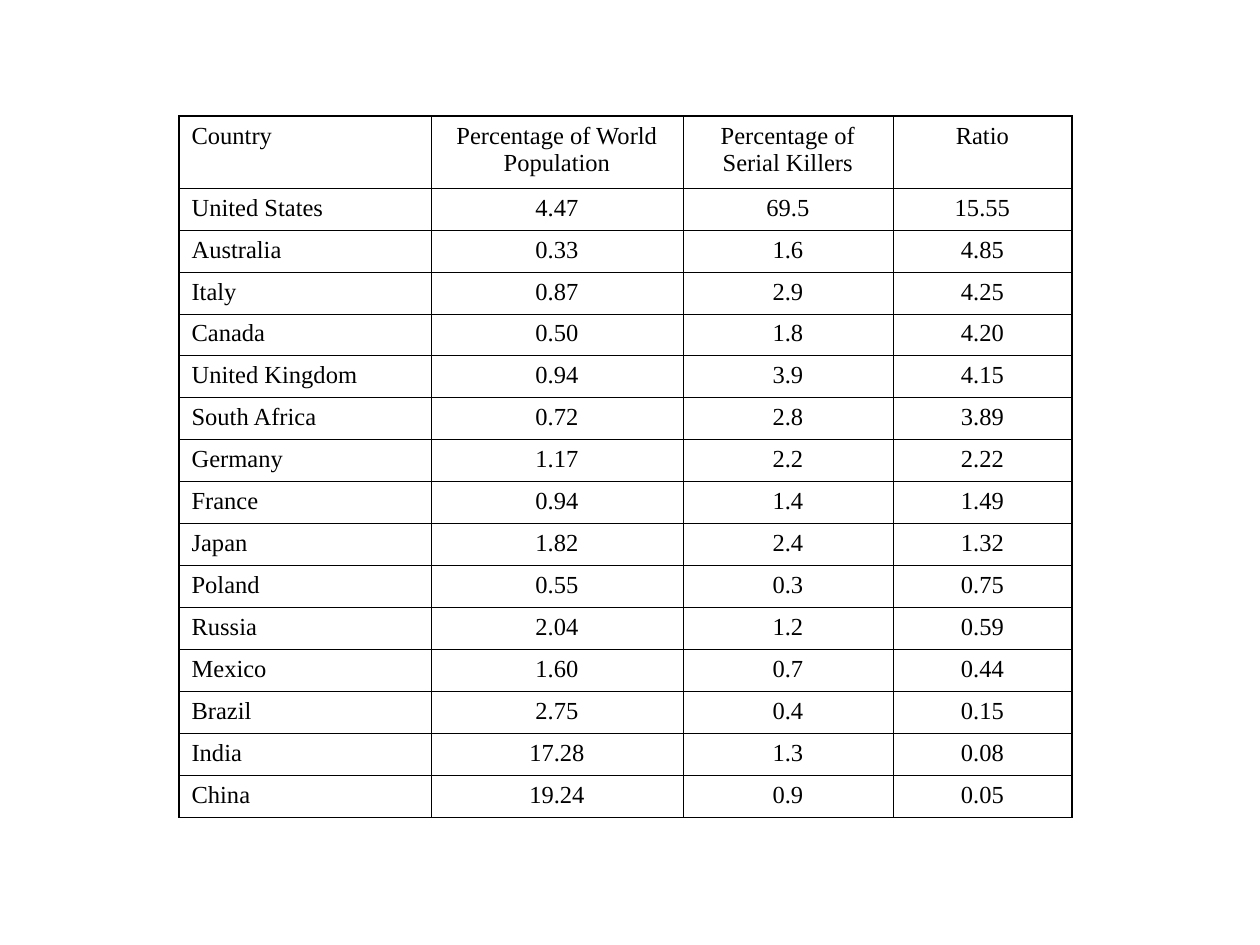
from pptx import Presentation
from pptx import util as u
from pptx.dml.color import RGBColor
from pptx.enum import text
from pptx.oxml import parse_xml
from pptx.oxml.ns import nsdecls

PX = 914400 // 126  # EMU per pixel
BLACK = "000000"
THIN, THICK = u.Pt(0.45), u.Pt(1.08)


def color(value):
    return RGBColor.from_string(value)


def add_border(cell, side, width):
    cell._tc.get_or_add_tcPr().append(parse_xml(
        f'<a:{side} {nsdecls("a")} w="{int(width)}"><a:solidFill>'
        f'<a:srgbClr val="{BLACK}"/></a:solidFill></a:{side}>'))


rows = [
    ("Country", "Percentage of World Population", "Percentage of Serial Killers", "Ratio"),
    ("United States", "4.47", "69.5", "15.55"),
    ("Australia", "0.33", "1.6", "4.85"),
    ("Italy", "0.87", "2.9", "4.25"),
    ("Canada", "0.50", "1.8", "4.20"),
    ("United Kingdom", "0.94", "3.9", "4.15"),
    ("South Africa", "0.72", "2.8", "3.89"),
    ("Germany", "1.17", "2.2", "2.22"),
    ("France", "0.94", "1.4", "1.49"),
    ("Japan", "1.82", "2.4", "1.32"),
    ("Poland", "0.55", "0.3", "0.75"),
    ("Russia", "2.04", "1.2", "0.59"),
    ("Mexico", "1.60", "0.7", "0.44"),
    ("Brazil", "2.75", "0.4", "0.15"),
    ("India", "17.28", "1.3", "0.08"),
    ("China", "19.24", "0.9", "0.05"),
]
column_widths = [252, 252, 210, 179]
row_heights = [72] + [42] * (len(rows) - 1)
font_format = {"name": "Times New Roman", "size": u.Pt(14), "bold": False}

presentation = Presentation()
presentation.slide_width, presentation.slide_height = u.Inches(10), u.Inches(7.5)
slide = presentation.slides.add_slide(presentation.slide_layouts[6])

# Table grid
table = slide.shapes.add_table(
    len(rows), len(column_widths), 179 * PX, 116 * PX,
    sum(column_widths) * PX, sum(row_heights) * PX).table
table.first_row = table.horz_banding = False
for column, width in zip(table.columns, column_widths):
    column.width = width * PX
for row, height in zip(table.rows, row_heights):
    row.height = height * PX

# Cells: text, then thick outer and thin inner borders, then no fill
last_row, last_column = len(rows) - 1, len(column_widths) - 1
for r, values in enumerate(rows):
    for c, value in enumerate(values):
        cell = table.cell(r, c)
        cell.text = value
        paragraph = cell.text_frame.paragraphs[0]
        paragraph.alignment = text.PP_ALIGN.CENTER if c else text.PP_ALIGN.LEFT
        font = paragraph.runs[0].font
        for name, setting in font_format.items():
            setattr(font, name, setting)
        font.color.rgb = color(BLACK)

        outer = {"lnL": c == 0, "lnR": c == last_column,
                 "lnT": r == 0, "lnB": r == last_row}
        for side, is_outer in outer.items():
            add_border(cell, side, THICK if is_outer else THIN)
        cell.fill.background()

presentation.save("out.pptx")
